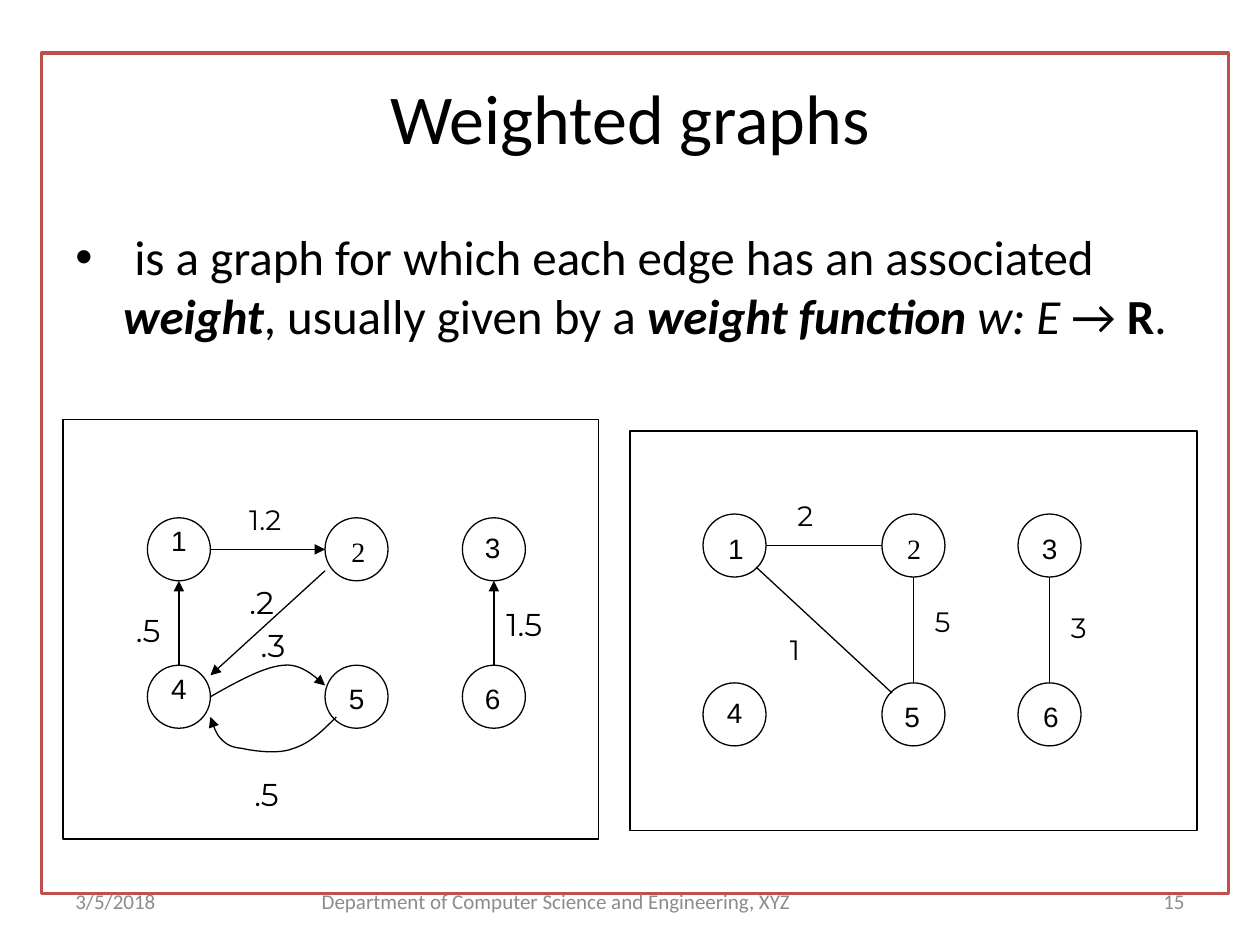
"""Build the slide on weighted graphs with a directed and an undirected example."""
from lxml.etree import SubElement
from pptx import Presentation
from pptx.dml.color import RGBColor
from pptx.enum.shapes import MSO_CONNECTOR, MSO_SHAPE
from pptx.enum.text import MSO_ANCHOR, PP_ALIGN
from pptx.oxml.ns import qn
from pptx.util import Inches, Pt

COLORS = {"ink": "000000", "border": "C0504D", "footer": "8C8C8C"}
TITLE = "Weighted graphs"
DEFINITION = [
    (" is a graph for which each edge has an associated ", False, False),
    ("weight", True, True),
    (", usually given by a ", False, False),
    ("weight function ", True, True),
    ("w: E ", False, True),
    ("→ ", False, False),
    ("R", True, False),
    (".", False, False),
]
FOOTERS = [
    ("Department of Computer Science and Engineering, XYZ", 2, 4.83, PP_ALIGN.CENTER),
    ("3/5/2018", 0.5, 2.33, PP_ALIGN.LEFT),
    ("15", 7.17, 2.33, PP_ALIGN.RIGHT),
]
DIAMETER = 0.5
SIDES = {
    "top": (0.5, 0), "bottom": (0.5, 1), "left": (0, 0.5), "right": (1, 0.5),
    "lower left": (0, 0.84), "upper right": (1, 0.16),
    "inner lower right": (0.84, 0.84), "inner upper left": (0.16, 0.16),
}
DIRECTED = {
    "columns": (1.17, 2.58, 3.67),
    "rows": (4.11, 5.28),
    "numbers": [(1.26, 4.11), (2.69, 4.19), (3.75, 4.16), (1.26, 5.28), (2.67, 5.36), (3.75, 5.36)],
    "arrows": True,
    "edges": [
        (4, "top", 1, "bottom"),
        (1, "right", 2, "left"),
        (2, "lower left", 4, "upper right"),
        (6, "top", 3, "bottom"),
    ],
    "curves": [
        [(1.67, 5.53), (1.88, 5.41), (2.1, 5.29), (2.25, 5.28), (2.4, 5.26), (2.53, 5.4), (2.58, 5.44)],
        [(2.67, 5.69), (2.56, 5.8), (2.46, 5.9), (2.33, 5.94), (2.21, 5.99), (2.01, 5.96), (1.92, 5.94),
         (1.82, 5.93), (1.79, 5.9), (1.75, 5.86), (1.71, 5.82), (1.68, 5.72), (1.67, 5.69)],
    ],
    "weights": [
        (".5", 0.98, 4.8, 0.45, 18), ("1.2", 1.88, 3.94, 0.57, 16), (".2", 1.88, 4.58, 0.45, 18),
        (".5", 1.92, 6.1, 0.45, 18), ("1.5", 3.92, 4.75, 0.62, 18), (".3", 1.97, 4.92, 0.45, 18),
    ],
    "frame": (0.5, 3.33, 4.25, 3.33),
}
UNDIRECTED = {
    "columns": (5.58, 7, 8.08),
    "rows": (4.08, 5.42),
    "numbers": [(5.68, 4.17), (7.1, 4.17), (8.17, 4.17), (5.67, 5.47), (7.08, 5.5), (8.18, 5.5)],
    "arrows": False,
    "edges": [
        (1, "inner lower right", 5, "inner upper left"),
        (1, "right", 2, "left"),
        (5, "top", 2, "bottom"),
        (6, "top", 3, "bottom"),
    ],
    "curves": [],
    "weights": [
        ("2", 6.23, 3.91, 0.35, 16), ("1", 6.17, 4.97, 0.35, 16),
        ("3", 8.4, 4.8, 0.35, 16), ("5", 7.32, 4.75, 0.35, 16),
    ],
    "frame": (5, 3.42, 4.5, 3.17),
}


def rgb(name):
    return RGBColor.from_string(COLORS[name])


def add_text(page, place, spans, size, font="Calibri", color="ink",
             align=PP_ALIGN.LEFT, anchor=MSO_ANCHOR.TOP, wrap=True):
    box = page.shapes.add_textbox(*map(Inches, place))
    frame = box.text_frame
    frame.word_wrap = wrap
    frame.vertical_anchor = anchor
    paragraph = frame.paragraphs[0]
    paragraph.alignment = align
    for text, bold, italic in spans:
        span = paragraph.add_run()
        span.text = text
        span.font.name = font
        span.font.size = Pt(size)
        span.font.bold = bold
        span.font.italic = italic
        span.font.color.rgb = rgb(color)
    return paragraph


def add_label(page, text, left, top, width, size, font):
    height = 0.4 if size == 18 else 0.37
    add_text(page, (left, top, width, height), [(text, False, False)], size, font, wrap=False)


def add_outline(page, kind, place, color="ink", weight=0.75):
    shape = page.shapes.add_shape(kind, *map(Inches, place))
    shape.shadow.inherit = False
    shape.fill.background()
    shape.line.color.rgb = rgb(color)
    shape.line.width = Pt(weight)


def style_edge(edge, arrow):
    edge.line.color.rgb = rgb("ink")
    edge.line.width = Pt(0.75)
    if arrow:
        SubElement(edge.line._get_or_add_ln(), qn("a:tailEnd"), type="triangle")


def add_edge(page, start, end, arrow):
    edge = page.shapes.add_connector(MSO_CONNECTOR.STRAIGHT, *map(Inches, start + end))
    style_edge(edge, arrow)
    SubElement(edge._element.spPr, qn("a:effectLst"))


def curve_points(controls, steps=12):
    for first in range(0, len(controls) - 1, 3):
        a, b, c, d = controls[first:first + 4]
        for step in range(1, steps + 1):
            t = step / steps
            u = 1 - t
            yield tuple(
                Inches(u**3 * a[i] + 3 * u * u * t * b[i] + 3 * u * t * t * c[i] + t**3 * d[i])
                for i in (0, 1)
            )


def add_curve(page, controls, arrow):
    builder = page.shapes.build_freeform(*map(Inches, controls[0]))
    builder.add_line_segments(list(curve_points(controls)), close=False)
    curve = builder.convert_to_shape()
    curve.shadow.inherit = False
    curve.fill.background()
    style_edge(curve, arrow)


def add_graph(page, graph):
    corners = [(x, y) for y in graph["rows"] for x in graph["columns"]]

    def port(vertex, side):
        return tuple(at + DIAMETER * share for at, share in zip(corners[vertex - 1], SIDES[side]))

    for corner in corners:
        add_outline(page, MSO_SHAPE.OVAL, corner + (DIAMETER, DIAMETER))
    for source, source_side, target, target_side in graph["edges"]:
        add_edge(page, port(source, source_side), port(target, target_side), graph["arrows"])
    for controls in graph["curves"]:
        add_curve(page, controls, graph["arrows"])
    for number, (left, top) in enumerate(graph["numbers"], 1):
        font = "Times New Roman" if number == 2 else "Arial"
        add_label(page, str(number), left, top, 0.32, 16, font)
    for weight in graph["weights"]:
        add_label(page, *weight, "Montserrat")
    add_outline(page, MSO_SHAPE.RECTANGLE, graph["frame"])


def main():
    deck = Presentation()
    deck.slide_width, deck.slide_height = Inches(10), Inches(7.5)
    page = deck.slides.add_slide(deck.slide_layouts[6])
    add_text(page, (0.5, 0.3, 9, 1.25), [(TITLE, False, False)], 40,
             align=PP_ALIGN.CENTER, anchor=MSO_ANCHOR.MIDDLE)
    for graph in (DIRECTED, UNDIRECTED):
        add_graph(page, graph)
    paragraph = add_text(page, (0.5, 1.75, 9, 4.95), DEFINITION, 28)
    paragraph.space_before = Pt(5.6)
    properties = paragraph._p.get_or_add_pPr()
    properties.set("marL", str(Inches(0.38)))
    properties.set("indent", str(Inches(-0.38)))
    SubElement(properties, qn("a:buFont"), typeface="Arial")
    SubElement(properties, qn("a:buChar"), char="•")
    add_outline(page, MSO_SHAPE.RECTANGLE, (0.33, 0.42, 9.42, 6.67), "border", 2)
    for text, left, width, align in FOOTERS:
        add_text(page, (left, 6.95, width, 0.4), [(text, False, False)], 12,
                 color="footer", align=align, anchor=MSO_ANCHOR.MIDDLE)
    deck.save("out.pptx")


if __name__ == "__main__":
    main()
